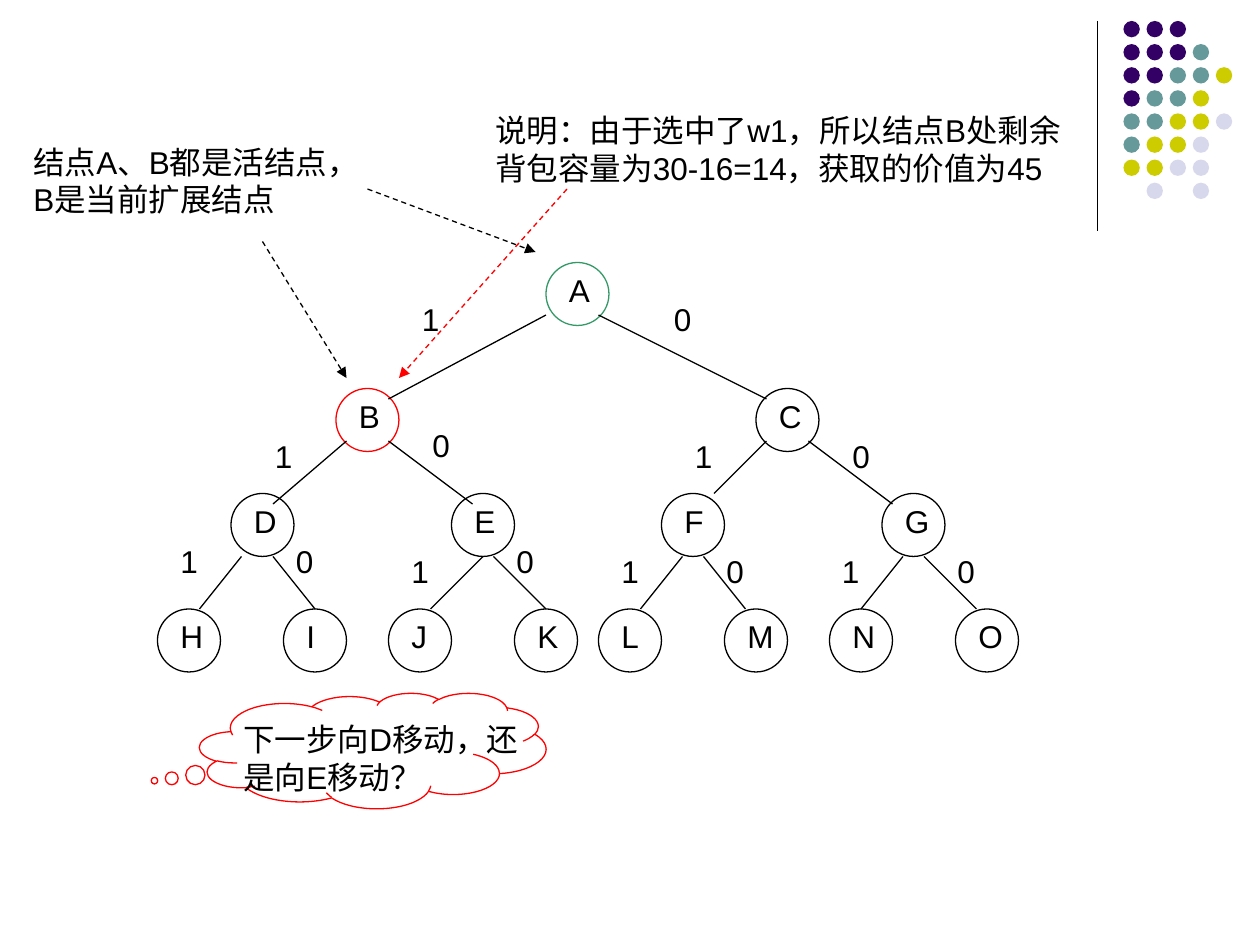
from dataclasses import dataclass

from lxml import etree
from pptx import Presentation
from pptx import util as u
from pptx.dml.color import RGBColor
from pptx.enum import dml, shapes, text
from pptx.oxml import ns

COLORS = {
    "ink": "000000",
    "root": "339966",
    "active": "FF0000",
    "P": "330066",
    "T": "669999",
    "Y": "CCCC00",
    "L": "D8D8EC",
}
FONT = {"name": "Arial", "size": u.Pt(18), "bold": False}
FRAME = {
    "word_wrap": True,
    "auto_size": text.MSO_AUTO_SIZE.SHAPE_TO_FIT_TEXT,
    "vertical_anchor": text.MSO_ANCHOR.TOP,
}
DOT_ROWS = ["PPP", "PPPT", "PPTTY", "PTTY", "TTYYL", "TYYL", "YYLL", " L L"]
DOT_LEFT, DOT_TOP, DOT_STEP, DOT_SIZE = 107, 2, 2.2, 1.56
NODE_SIZE = 6
LABEL_WIDTH, LABEL_HEIGHT = 5, 4.8


@dataclass
class Node:
    letter: str
    left: float
    top: float
    color: str = "ink"


@dataclass
class Branch:
    start: tuple[float, float]
    end: tuple[float, float]
    bit: str
    label: tuple[float, float]


@dataclass
class Pointer:
    start: tuple[float, float]
    end: tuple[float, float]
    color: str = "ink"


@dataclass
class Remark:
    words: str
    left: float
    top: float
    width: float
    height: float = 8.4


NODES = [
    Node("A", 52, 25, "root"),
    Node("B", 32, 37, "active"),
    Node("C", 72, 37),
    *(Node(letter, left, 47) for letter, left in zip("DEFG", (22, 43, 63, 84))),
    *(Node(letter, left, 58)
      for letter, left in zip("HIJKLMNO", (15, 27, 37, 49, 57, 69, 79, 91))),
]
BRANCHES = [
    Branch((52, 30), (37, 38), "1", (39, 28)),
    Branch((57, 30), (73, 38), "0", (63, 28)),
    Branch((33, 42), (26, 48), "1", (25, 41)),
    Branch((37, 42), (45, 48), "0", (40, 40)),
    Branch((73, 42), (68, 47), "1", (65, 41)),
    Branch((77, 42), (85, 48), "0", (80, 41)),
    Branch((23, 53), (19, 58), "1", (16, 51)),
    Branch((26, 53), (30, 58), "0", (27, 51)),
    Branch((46, 53), (41, 58), "1", (38, 52)),
    Branch((47, 53), (52, 58), "0", (48, 51)),
    Branch((65, 53), (61, 58), "1", (58, 52)),
    Branch((67, 53), (71, 58), "0", (68, 52)),
    Branch((86, 53), (82, 58), "1", (79, 52)),
    Branch((88, 53), (93, 58), "0", (90, 52)),
]
POINTERS = [
    Pointer((25, 23), (33, 36)),
    Pointer((35, 18), (51, 24)),
    Pointer((54, 18), (38, 36), "active"),
]
REMARKS = [
    Remark("结点A、B都是活结点，B是当前扩展结点", 2, 13, 32),
    Remark("说明：由于选中了w1，所以结点B处剩余背包容量为30-16=14，获取的价值为45",
           46, 10, 58),
    Remark("下一步向D移动，还是向E移动？", 22, 68, 30),
]


def grid(steps: float) -> u.Length:
    return u.Cm(steps * 2.54 / 12)


def rgb(color: str) -> RGBColor:
    return RGBColor.from_string(COLORS[color])


def apply(target, values: dict) -> None:
    for name, value in values.items():
        setattr(target, name, value)


def draw_outline(slide, kind, left: float, top: float, width: float,
                 height: float, color: str):
    outline = slide.shapes.add_shape(kind, *map(grid, (left, top, width, height)))
    outline.shadow.inherit = False
    outline.fill.background()
    outline.line.color.rgb = rgb(color)
    outline.line.width = u.Pt(0.75)
    return outline


def draw_dot(slide, left: float, top: float, color: str) -> None:
    dot = draw_outline(slide, shapes.MSO_SHAPE.OVAL, left, top,
                       DOT_SIZE, DOT_SIZE, color)
    dot.fill.solid()
    dot.fill.fore_color.rgb = rgb(color)
    dot.line.fill.background()


def draw_line(slide, start: tuple[float, float], end: tuple[float, float],
              color: str = "ink"):
    line = slide.shapes.add_connector(
        shapes.MSO_CONNECTOR.STRAIGHT, *map(grid, (*start, *end)))
    line.line.color.rgb = rgb(color)
    line.line.width = u.Pt(0.75)
    etree.SubElement(line._element.spPr, ns.qn("a:effectLst"))
    return line


def draw_pointer(slide, pointer: Pointer) -> None:
    arrow = draw_line(slide, pointer.start, pointer.end, pointer.color)
    arrow.line.dash_style = dml.MSO_LINE.DASH
    etree.SubElement(arrow.line._get_or_add_ln(), ns.qn("a:tailEnd"), type="triangle")


def write(slide, remark: Remark) -> None:
    place = (remark.left, remark.top, remark.width, remark.height)
    frame = slide.shapes.add_textbox(*map(grid, place)).text_frame
    apply(frame, FRAME)
    paragraph = frame.paragraphs[0]
    run = paragraph.add_run()
    run.text = remark.words
    apply(run.font, FONT)
    run.font.color.rgb = rgb("ink")


def write_label(slide, words: str, left: float, top: float) -> None:
    write(slide, Remark(words, left, top, LABEL_WIDTH, LABEL_HEIGHT))


def draw_node(slide, node: Node) -> None:
    draw_outline(slide, shapes.MSO_SHAPE.OVAL, node.left, node.top,
                 NODE_SIZE, NODE_SIZE, node.color)
    write_label(slide, node.letter, node.left + 1, node.top + 0.2)


def main() -> None:
    deck = Presentation()
    deck.slide_width, deck.slide_height = u.Cm(25.4), u.Cm(19.05)
    slide = deck.slides.add_slide(deck.slide_layouts[6])

    draw_line(slide, (104.5, 2), (104.5, 22))
    for row, dots in enumerate(DOT_ROWS):
        for column, color in enumerate(dots):
            if color in COLORS:
                draw_dot(slide, DOT_LEFT + column * DOT_STEP,
                         DOT_TOP + row * DOT_STEP, color)

    for node in NODES:
        draw_node(slide, node)
    for branch in BRANCHES:
        draw_line(slide, branch.start, branch.end)
        write_label(slide, branch.bit, *branch.label)
    for pointer in POINTERS:
        draw_pointer(slide, pointer)

    cloud = draw_outline(slide, shapes.MSO_SHAPE.CLOUD_CALLOUT, 19, 66, 33, 11, "active")
    cloud.adjustments[0], cloud.adjustments[1] = -0.63, 0.26
    for remark in REMARKS:
        write(slide, remark)

    deck.save("out.pptx")


if __name__ == "__main__":
    main()
